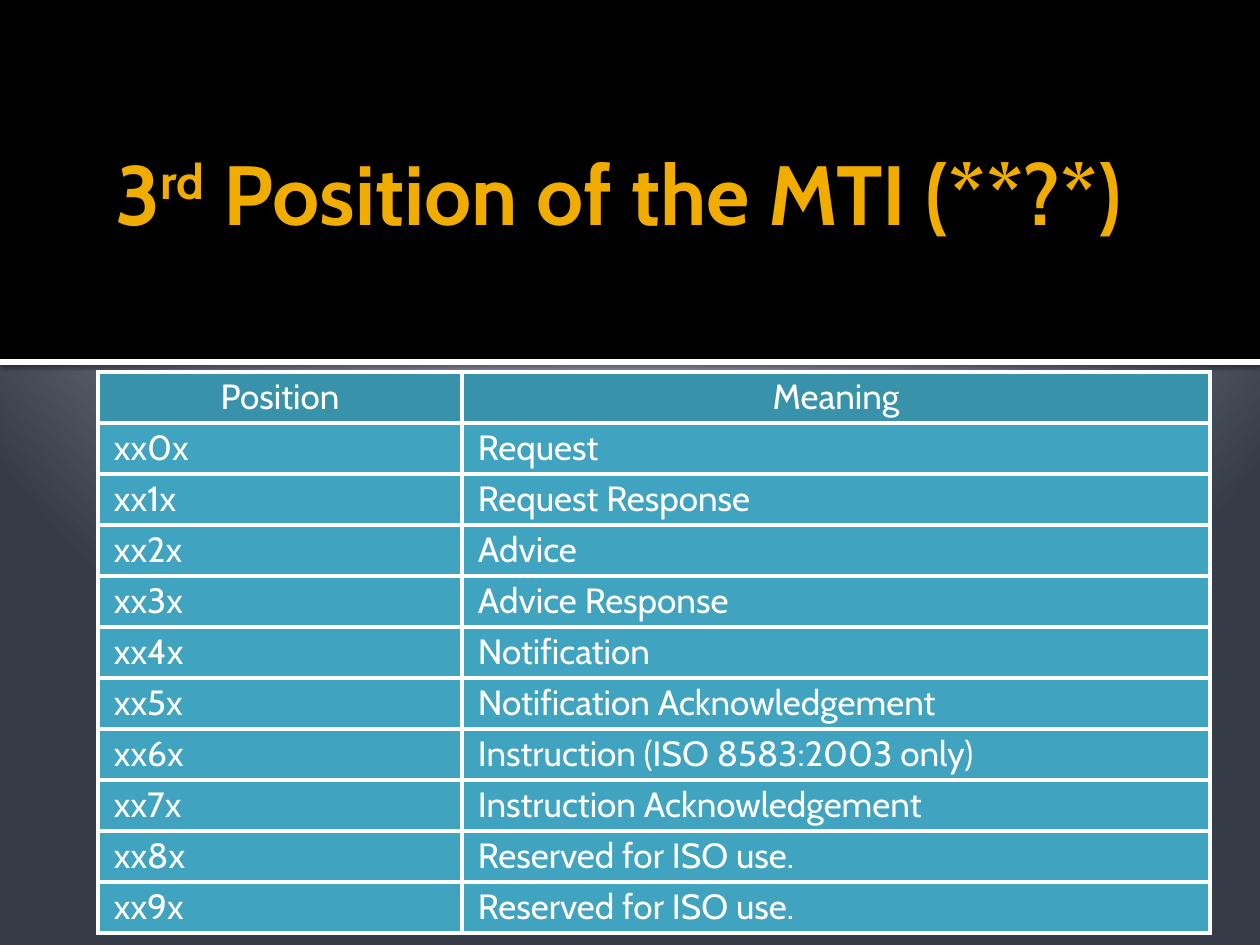
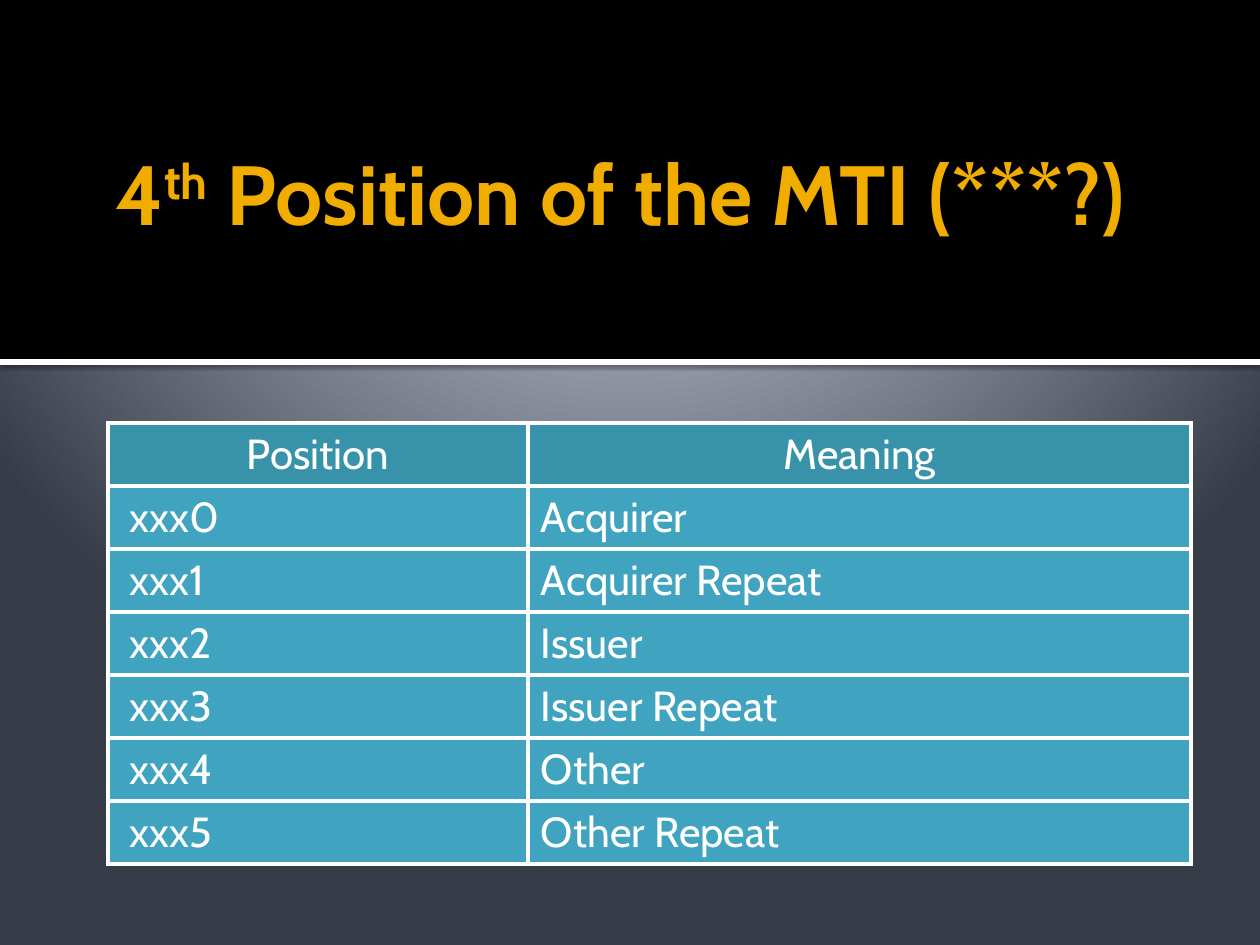
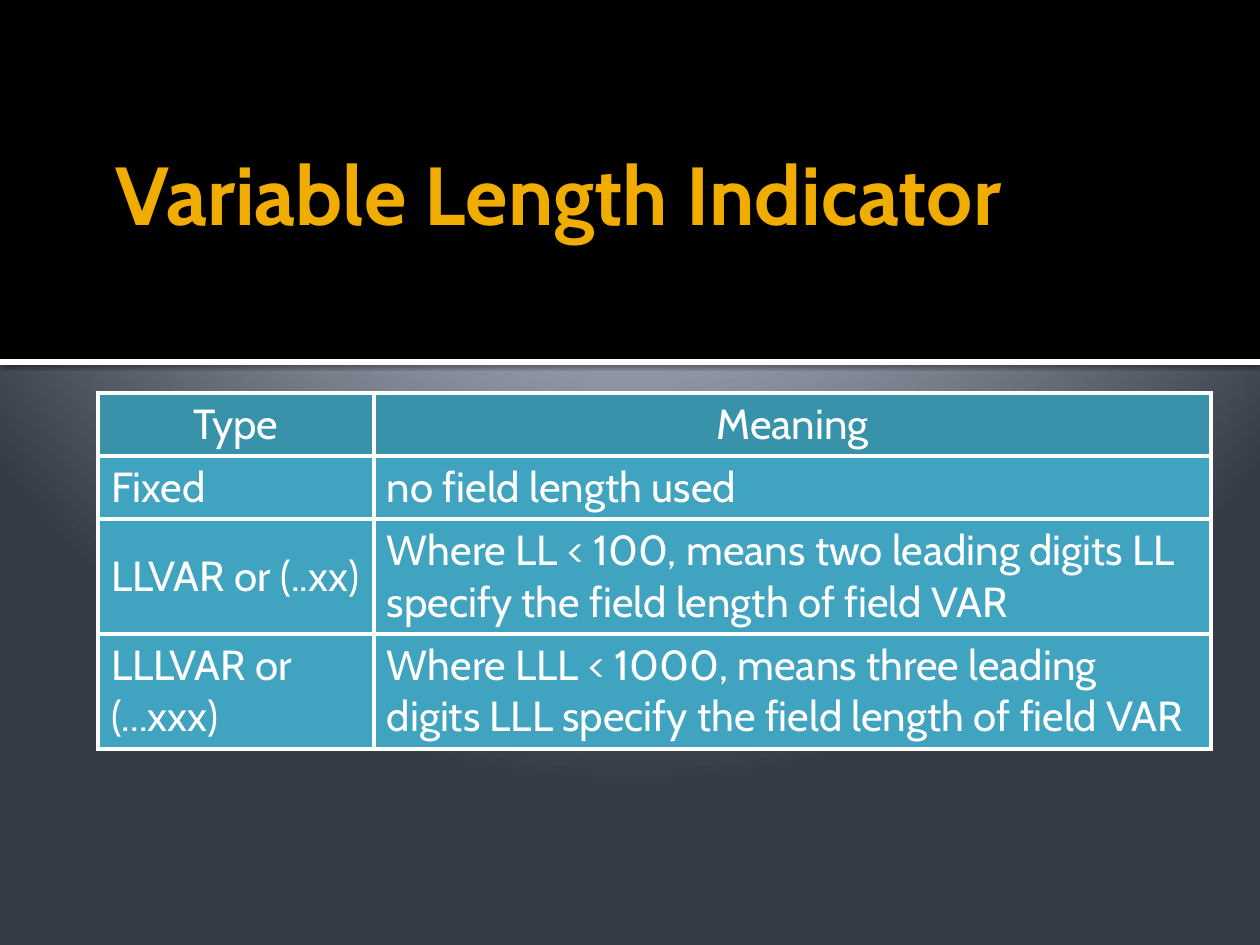
"""Build three slides on ISO 8583 message type positions and field lengths."""
import lxml.etree
import pptx
import pptx.dml.color
import pptx.enum.shapes
import pptx.enum.text
import pptx.oxml
import pptx.oxml.ns
import pptx.util

PX = 914400 / 126
FONT = "Cabin"
COLORS = {
    "band": "000000", "rule": "FFFFFF", "title": "F0AD00", "text": "FFFFFF",
    "header": "3792AA", "body": "40A3BF", "border": "FFFFFF", "shadow": "000000",
}
BACKDROP = [(0, "C1C5D3"), (12, "C1C5D3"), (20, "BFC4D2"), (100, "353B47")]

SLIDES = [
    {
        "title": [("3", False), ("rd", True), (" Position of the MTI (**?*)", False)],
        "title_size": 48,
        "rows": [
            ("Position", "Meaning"),
            ("xx0x", "Request"),
            ("xx1x", "Request Response"),
            ("xx2x", "Advice"),
            ("xx3x", "Advice Response"),
            ("xx4x", "Notification"),
            ("xx5x", "Notification Acknowledgement"),
            ("xx6x", "Instruction (ISO 8583:2003 only)"),
            ("xx7x", "Instruction Acknowledgement"),
            ("xx8x", "Reserved for ISO use."),
            ("xx9x", "Reserved for ISO use."),
        ],
        "corner": (98, 372), "widths": (364, 748), "heights": [51] * 11,
        "size": 20, "indents": (16, 16), "side": 9, "pad": 4,
    },
    {
        "title": [("4", False), ("th", True), (" Position of the MTI (***?)", False)],
        "title_size": 48,
        "rows": [
            ("Position", "Meaning"),
            ("xxx0", "Acquirer"),
            ("xxx1", "Acquirer Repeat"),
            ("xxx2", "Issuer"),
            ("xxx3", "Issuer Repeat"),
            ("xxx4", "Other"),
            ("xxx5", "Other Repeat"),
        ],
        "corner": (108, 423), "widths": (420, 663), "heights": [63] * 7,
        "size": 24, "indents": (22, 13), "side": 13, "pad": 6,
    },
    {
        "title": [("Variable Length Indicator", False)],
        "title_size": 47,
        "rows": [
            ("Type", "Meaning"),
            ("Fixed", "no field length used"),
            ("LLVAR or (..xx)",
             "Where LL < 100, means two leading digits LL specify the field length of field VAR"),
            ("LLLVAR or (...xxx)",
             "Where LLL < 1000, means three leading digits LLL specify the field length of field VAR"),
        ],
        "corner": (98, 393), "widths": (276, 837), "heights": [63, 63, 115, 115],
        "size": 24, "indents": (13, 13), "side": 13, "pad": 6,
    },
]


def px(*lengths):
    return [pptx.util.Emu(round(length * PX)) for length in lengths]


def rgb(name):
    return pptx.dml.color.RGBColor.from_string(COLORS[name])


def xml(markup):
    head, tail = markup.split(" ", 1)
    return pptx.oxml.parse_xml(f"{head} {pptx.oxml.ns.nsdecls('a')} {tail}")


def style_run(run, size, color, bold=False):
    run.font.name = FONT
    run.font.size = pptx.util.Pt(size)
    run.font.bold = bold
    run.font.color.rgb = rgb(color)


def set_backdrop(master):
    """Give the master a radial gradient centred above the slide."""
    master.background.fill.solid()
    solid = master.background._cSld.find(".//" + pptx.oxml.ns.qn("a:solidFill"))
    stops = "".join(f'<a:gs pos="{place * 1000}"><a:srgbClr val="{color}"/></a:gs>'
                    for place, color in BACKDROP)
    gradient = xml(f'<a:gradFill rotWithShape="1"><a:gsLst>{stops}</a:gsLst><a:path path="circle">'
                   '<a:fillToRect l="10000" t="-25000" r="10000" b="125000"/></a:path></a:gradFill>')
    solid.getparent().replace(solid, gradient)


def add_band(slide, top, height, color):
    band = slide.shapes.add_shape(pptx.enum.shapes.MSO_SHAPE.RECTANGLE, *px(0, top, 1260, height))
    band.shadow.inherit = False
    band.fill.solid()
    band.fill.fore_color.rgb = rgb(color)
    band.line.fill.background()
    return band


def add_header(slide, title, size):
    add_band(slide, 0, 359, "band")
    rule = add_band(slide, 359, 6, "rule")
    effects = rule._element.spPr.find(pptx.oxml.ns.qn("a:effectLst"))
    effects.append(xml('<a:outerShdw blurRad="31750" dist="10160" dir="5400000" rotWithShape="0">'
                       f'<a:srgbClr val="{COLORS["shadow"]}"><a:alpha val="60000"/></a:srgbClr>'
                       '</a:outerShdw>'))
    frame = slide.shapes.add_textbox(*px(103, 16, 1104, 226)).text_frame
    frame.word_wrap = True
    frame.vertical_anchor = pptx.enum.text.MSO_ANCHOR.BOTTOM
    frame.margin_top = frame.margin_bottom = 0
    for words, raised in title:
        run = frame.paragraphs[0].add_run()
        run.text = words
        style_run(run, size, "title", bold=True)
        if raised:
            run._r.get_or_add_rPr().set("baseline", "30000")


def add_borders(cell):
    properties = cell._tc.get_or_add_tcPr()
    for position, side in enumerate(("lnL", "lnR", "lnT", "lnB")):
        properties.insert(position, xml(
            f'<a:{side} w="28575"><a:solidFill><a:srgbClr val="{COLORS["border"]}"/>'
            f'</a:solidFill></a:{side}>'))


def add_meanings(slide, content):
    rows, widths, heights = content["rows"], content["widths"], content["heights"]
    table = slide.shapes.add_table(
        len(rows), len(widths), *px(*content["corner"], sum(widths), sum(heights))).table
    table.horz_banding = False
    for column, width in zip(table.columns, px(*widths)):
        column.width = width
    for row, height in zip(table.rows, px(*heights)):
        row.height = height
    side, pad = px(content["side"], content["pad"])
    for r, row in enumerate(rows):
        for c, words in enumerate(row):
            cell = table.cell(r, c)
            cell.vertical_anchor = pptx.enum.text.MSO_ANCHOR.MIDDLE
            cell.margin_left = side if r == 0 else px(content["indents"][c])[0]
            cell.margin_right = side
            cell.margin_top = cell.margin_bottom = pad
            cell.fill.solid()
            cell.fill.fore_color.rgb = rgb("body" if r else "header")
            add_borders(cell)
            paragraph = cell.text_frame.paragraphs[0]
            paragraph.text = words
            paragraph.alignment = (pptx.enum.text.PP_ALIGN.LEFT if r
                                   else pptx.enum.text.PP_ALIGN.CENTER)
            style_run(paragraph.runs[0], content["size"], "text")


def main():
    deck = pptx.Presentation()
    deck.slide_width, deck.slide_height = px(1260, 945)
    set_backdrop(deck.slide_master)
    for content in SLIDES:
        slide = deck.slides.add_slide(deck.slide_layouts[6])
        add_header(slide, content["title"], content["title_size"])
        add_meanings(slide, content)
    deck.save("out.pptx")


if __name__ == "__main__":
    main()
